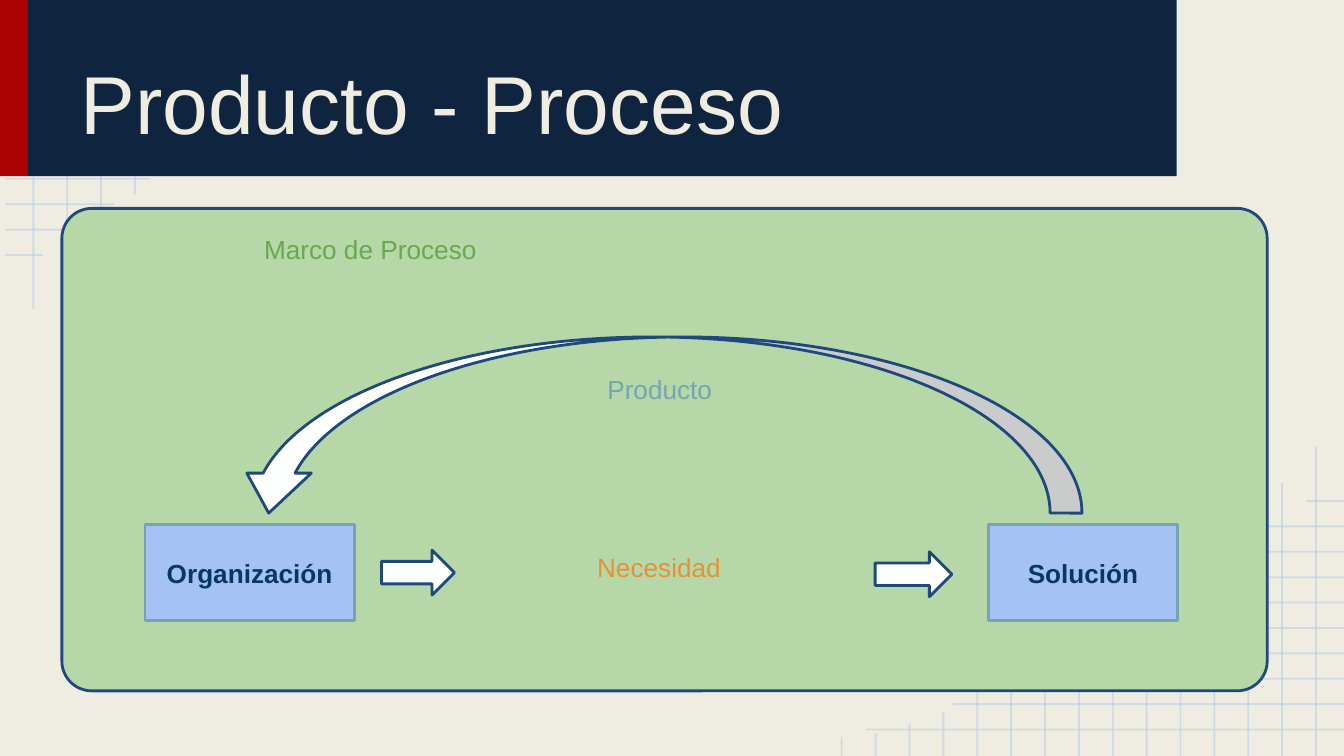
from dataclasses import dataclass

from lxml import etree
from pptx import Presentation
from pptx.dml.color import RGBColor
from pptx.enum.shapes import MSO_CONNECTOR, MSO_SHAPE
from pptx.enum.text import MSO_ANCHOR, PP_ALIGN
from pptx.oxml.ns import qn
from pptx.util import Cm, Pt

RECT = MSO_SHAPE.RECTANGLE
ROUNDED = MSO_SHAPE.ROUNDED_RECTANGLE
RIGHT_ARROW = MSO_SHAPE.RIGHT_ARROW
CURVED_ARROW = MSO_SHAPE.CURVED_DOWN_ARROW
STRAIGHT = MSO_CONNECTOR.STRAIGHT
TOP, MIDDLE, BOTTOM = MSO_ANCHOR.TOP, MSO_ANCHOR.MIDDLE, MSO_ANCHOR.BOTTOM
LEFT, CENTER = PP_ALIGN.LEFT, PP_ALIGN.CENTER

COLORS = {
    "paper": "EFEDE2", "grid": "B7CCE4", "red": "AB0101", "navy": "0F243E",
    "panel": "B6D7A8", "outline": "1F497D", "box": "A4C2F4", "teal": "76A5AF",
    "box_text": "073763", "arrow": "FDFFFF", "green": "6AA84F", "orange": "E69138",
}
WIDTH, HEIGHT = 25.4, 14.29
BORDER = 1.5


@dataclass
class Block:
    kind: int
    box: tuple[float, float, float, float]
    fill: str
    line: str | None = None
    adjustments: tuple[float, ...] = ()
    flipped: bool = False
    text: str = ""


@dataclass
class Label:
    text: str
    box: tuple[float, float, float, float]
    color: str
    contour: str


def rgb(name: str) -> RGBColor:
    return RGBColor.from_string(COLORS[name])


def write(shape, text: str, *, color: str, size: float = 14, bold: bool = False,
          align=CENTER, anchor=TOP, inset: float | None = None,
          contour: str | None = None) -> None:
    frame = shape.text_frame
    frame.word_wrap = True
    frame.vertical_anchor = anchor
    if inset is not None:
        frame.margin_left = frame.margin_right = Cm(inset)
        frame.margin_top = frame.margin_bottom = Cm(inset)
    paragraph = frame.paragraphs[0]
    paragraph.alignment = align
    run = paragraph.add_run()
    run.text = text
    font = run.font
    font.name, font.size, font.bold = "Arial", Pt(size), bold
    font.color.rgb = rgb(color)
    if contour:
        outline = etree.Element(qn("a:ln"), w=str(Pt(BORDER)))
        solid = etree.SubElement(outline, qn("a:solidFill"))
        etree.SubElement(solid, qn("a:srgbClr"), val=COLORS[contour])
        font._element.insert(0, outline)


def add_text_box(slide, box: tuple[float, float, float, float]):
    return slide.shapes.add_textbox(*map(Cm, box))


def draw_block(slide, block: Block) -> None:
    shape = slide.shapes.add_shape(block.kind, *map(Cm, block.box))
    shape.shadow.inherit = False
    shape.fill.solid()
    shape.fill.fore_color.rgb = rgb(block.fill)
    if block.line:
        shape.line.color.rgb = rgb(block.line)
        shape.line.width = Pt(BORDER)
    else:
        shape.line.fill.background()
    for index, value in enumerate(block.adjustments):
        shape.adjustments[index] = value
    if block.flipped:
        shape._element.spPr.find(qn("a:xfrm")).set("flipH", "1")
    if block.text:
        write(shape, block.text, color="box_text", bold=True, anchor=MIDDLE, inset=0.25)


def draw_grid_line(slide, x1: float, y1: float, x2: float, y2: float) -> None:
    line = slide.shapes.add_connector(STRAIGHT, Cm(x1), Cm(y1), Cm(x2), Cm(y2))
    line.line.color.rgb = rgb("grid")
    line.line.width = Pt(1)
    color = line._element.spPr.find(".//" + qn("a:srgbClr"))
    etree.SubElement(color, qn("a:alpha"), val="54000")
    etree.SubElement(line._element.spPr, qn("a:effectLst"))


def draw_label(slide, label: Label) -> None:
    write(add_text_box(slide, label.box), label.text,
          color=label.color, contour=label.contour)


presentation = Presentation()
presentation.slide_width, presentation.slide_height = Cm(WIDTH), Cm(HEIGHT)
slide = presentation.slides.add_slide(presentation.slide_layouts[6])
slide.background.fill.solid()
slide.background.fill.fore_color.rgb = rgb("paper")

# Corner grids: the lower right one is the upper left one turned by 180 degrees
ROW_ENDS = (9.12, 7.49, 6.12, 5.26, 4.24, 3.48, 2.84, 2.16, 1.57, 0.81)
COLUMN_ENDS = (5.84, 5.16, 4.22, 3.68, 3.28, 2.95, 2.51, 2.18, 1.83, 1.57,
               1.22, 0.84, 0.61, 0.43, 0.36)
GRID_EDGE = 0.1
rows = [(GRID_EDGE, 0.5 + 0.48 * i, end, 0.5 + 0.48 * i)
        for i, end in enumerate(ROW_ENDS)]
columns = [(0.63 + 0.64 * i, end, 0.63 + 0.64 * i, 0)
           for i, end in enumerate(COLUMN_ENDS)]
for x1, y1, x2, y2 in rows + columns:
    draw_grid_line(slide, x1, y1, x2, y2)
    turn_x = WIDTH + GRID_EDGE
    draw_grid_line(slide, turn_x - x1, HEIGHT - y1, turn_x - x2, HEIGHT - y2)

# Title banner, process frame, and the flow inside it
BLOCKS = (
    Block(RECT, (0, -0.03, 0.53, 3.36), "red"),
    Block(RECT, (0.53, -0.03, 21.71, 3.36), "navy"),
    Block(ROUNDED, (1.17, 3.94, 22.78, 9.12), "panel", "outline", (0.062,)),
    Block(RECT, (2.74, 9.92, 3.96, 1.81), "box", "teal", text="Organización"),
    Block(RECT, (18.69, 9.92, 3.56, 1.81), "box", "teal", text="Solución"),
    Block(RIGHT_ARROW, (7.21, 10.4, 1.38, 0.85), "arrow", "outline", (0.5, 0.5)),
    Block(CURVED_ARROW, (4.47, 6.37, 15.98, 3.33), "arrow", "outline",
          (0.181, 0.366, 0.227), flipped=True),
    Block(RIGHT_ARROW, (16.54, 10.43, 1.45, 0.85), "arrow", "outline", (0.5, 0.5)),
)
for block in BLOCKS:
    draw_block(slide, block)

# Title
title = add_text_box(slide, (1.27, 0.28, 20.32, 2.82))
write(title, "Producto - Proceso", color="paper", size=44,
      align=LEFT, anchor=BOTTOM, inset=0.25)

# Labels
LABELS = (
    Label("Necesidad", (9.09, 10.29, 6.73, 1.12), "orange", "outline"),
    Label("Marco de Proceso", (1.6, 4.29, 10.8, 1.04), "green", "green"),
    Label("Producto", (9.83, 6.93, 5.28, 0.84), "teal", "outline"),
)
for label in LABELS:
    draw_label(slide, label)

presentation.save("out.pptx")
